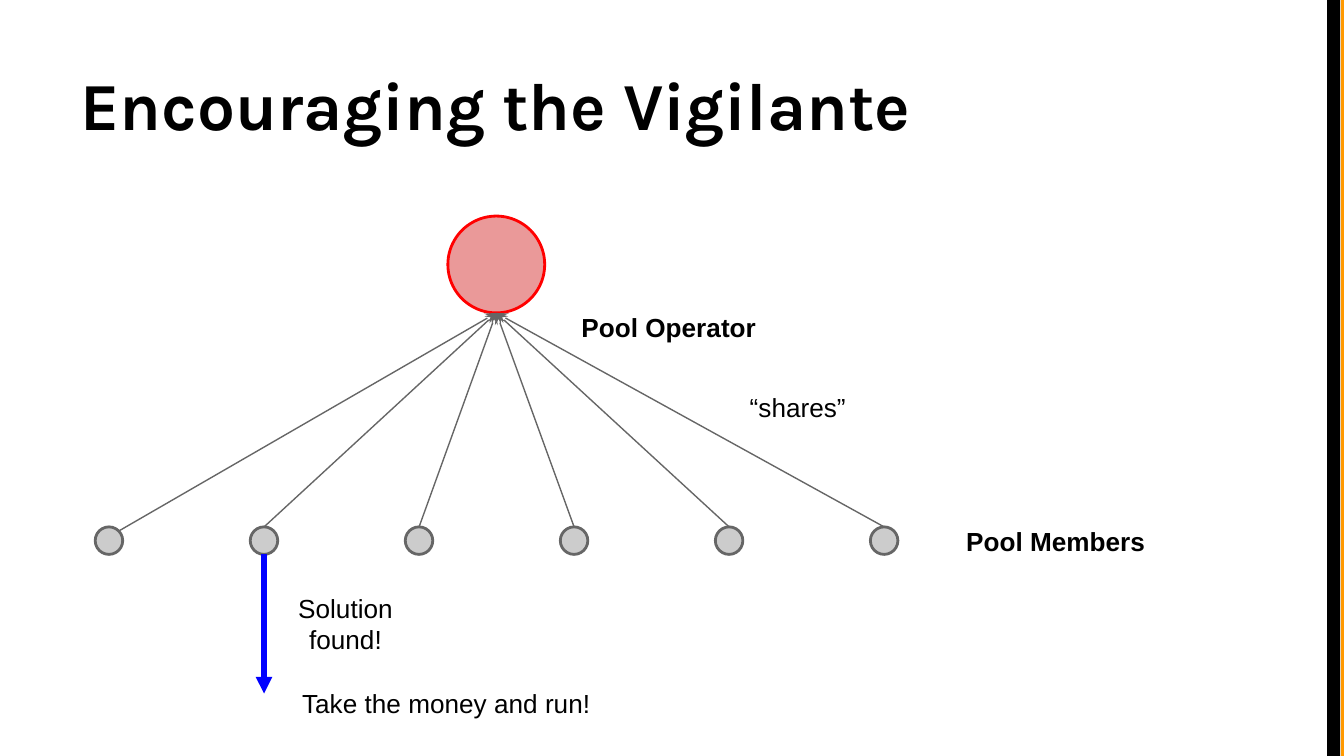
from lxml import etree
from pptx import Presentation
from pptx.dml.color import RGBColor
from pptx.enum import shapes, text
from pptx.oxml.ns import qn
from pptx.util import Cm, Pt

BLACK, GREY = "000000", "666666"
MEMBERS = 6
MEMBER_GAP = 2.93
MEMBER_X, MEMBER_Y = 2.06, 10.22  # centre of the first member
MEMBER_D = 0.52
OPERATOR_X, OPERATOR_Y, OPERATOR_D = 9.38, 5.0, 1.83


def rgb(value):
    return RGBColor.from_string(value)


def add_bar(s, left, height, color):
    sp = s.shapes.add_shape(shapes.MSO_SHAPE.RECTANGLE, Cm(left), 0, Cm(0.25), height)
    sp.shadow.inherit = False
    sp.fill.solid()
    sp.fill.fore_color.rgb = rgb(color)
    sp.line.fill.background()


def add_circle(s, x, y, d, fill, line):
    """Add a circle of diameter d centred on (x, y)."""
    sp = s.shapes.add_shape(shapes.MSO_SHAPE.OVAL, Cm(x - d / 2), Cm(y - d / 2), Cm(d), Cm(d))
    sp.shadow.inherit = False
    sp.fill.solid()
    sp.fill.fore_color.rgb = rgb(fill)
    sp.line.color.rgb = rgb(line)
    sp.line.width = Pt(1.5)


def add_arrow(s, start, end, color, width, head):
    points = [Cm(v) for v in (*start, *end)]
    sp = s.shapes.add_connector(shapes.MSO_CONNECTOR.STRAIGHT, *points)
    sp.line.color.rgb = rgb(color)
    sp.line.width = Pt(width)
    etree.SubElement(sp.line._get_or_add_ln(), qn("a:tailEnd"), type=head)
    etree.SubElement(sp._element.spPr, qn("a:effectLst"))


def write(tf, words, size, font, bold, align, anchor):
    tf.word_wrap = True
    tf.auto_size = text.MSO_AUTO_SIZE.NONE
    tf.vertical_anchor = anchor
    tf.margin_left = tf.margin_right = tf.margin_top = tf.margin_bottom = Cm(0.25)
    p = tf.paragraphs[0]
    p.alignment = align
    r = p.add_run()
    r.text = words
    r.font.name = font
    r.font.size = Pt(size)
    r.font.bold = bold
    r.font.color.rgb = rgb(BLACK)


def add_title(s, words):
    sp = s.shapes.title
    sp.left, sp.top, sp.width, sp.height = Cm(1.27), Cm(0.58), Cm(22.86), Cm(2.39)
    write(sp.text_frame, words, 36, "Karla", True, text.PP_ALIGN.LEFT, text.MSO_ANCHOR.BOTTOM)


def add_label(s, words, left, top, width, bold=False, align=text.PP_ALIGN.LEFT):
    sp = s.shapes.add_textbox(Cm(left), Cm(top), Cm(width), Cm(1.27))
    write(sp.text_frame, words, 14, "Arial", bold, align, text.MSO_ANCHOR.TOP)


def add_pool(s):
    """Draw the operator, its members and the shares they send."""
    add_circle(s, OPERATOR_X, OPERATOR_Y, OPERATOR_D, "EA9999", "FF0000")
    target = (OPERATOR_X, OPERATOR_Y + OPERATOR_D / 2)
    for i in range(MEMBERS):
        x = MEMBER_X + i * MEMBER_GAP
        add_circle(s, x, MEMBER_Y, MEMBER_D, "CCCCCC", GREY)
        # The first arrow leaves from the upper right of its circle
        start = (x + 0.18, MEMBER_Y - 0.18) if i == 0 else (x, MEMBER_Y - MEMBER_D / 2)
        add_arrow(s, start, target, GREY, 0.75, "stealth")


def main():
    prs = Presentation()
    prs.slide_width, prs.slide_height = Cm(25.4), Cm(14.29)
    s = prs.slides.add_slide(prs.slide_layouts[5])
    add_bar(s, 25.34, prs.slide_height, "FF9900")
    add_bar(s, 25.08, prs.slide_height, BLACK)
    add_title(s, "Encouraging the Vigilante")

    add_pool(s)
    add_label(s, "Pool Operator", 10.74, 5.64, 4.5, bold=True)
    add_label(s, "Pool Members", 18.01, 9.68, 7.34, bold=True)
    add_label(s, "“shares”", 13.92, 7.14, 2.64)

    finder_x = MEMBER_X + MEMBER_GAP
    add_label(s, "Solution found!", 4.88, 10.95, 3.3, align=text.PP_ALIGN.CENTER)
    add_arrow(s, (finder_x, MEMBER_Y + MEMBER_D / 2), (finder_x, 13.11), "0000FF", 3, "triangle")
    add_label(s, "Take the money and run!", 5.46, 12.75, 10.16)
    prs.save("out.pptx")


if __name__ == "__main__":
    main()
